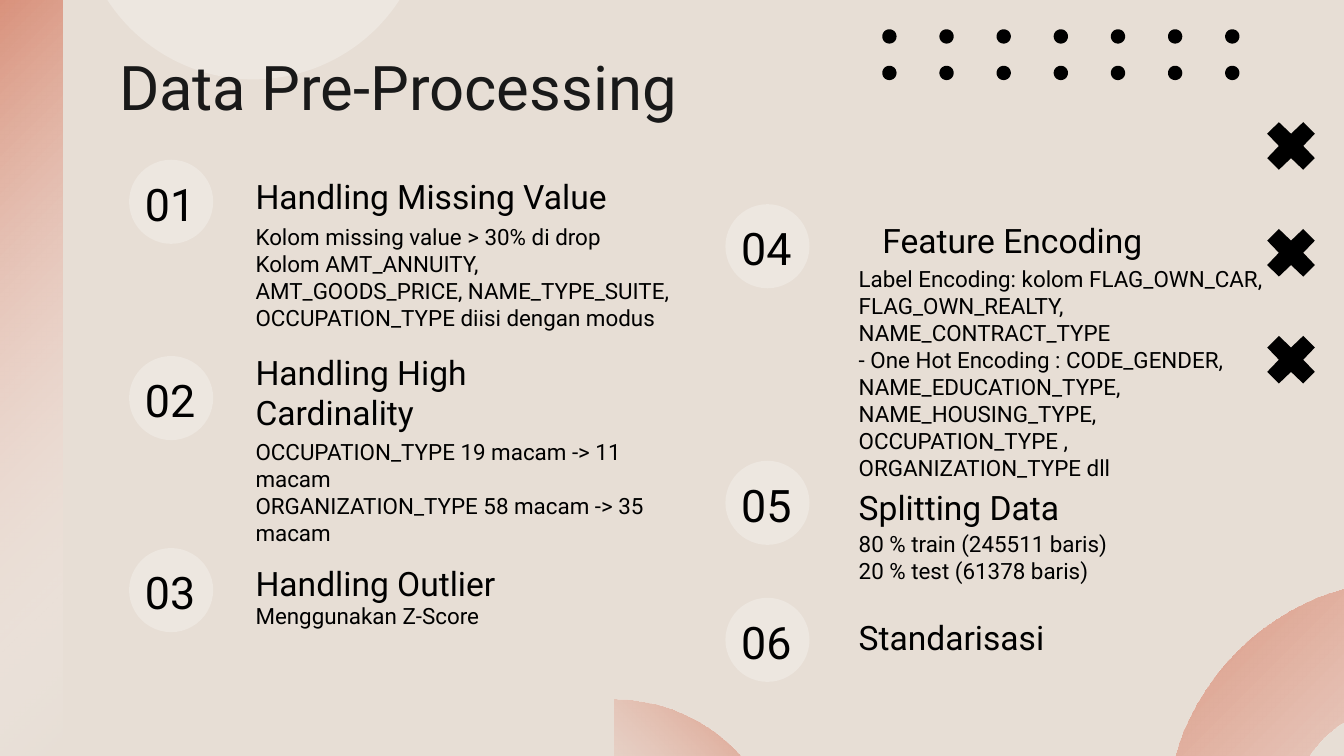
from dataclasses import dataclass
from math import cos, pi, sin

from lxml import etree
from pptx import Presentation
from pptx.dml.color import RGBColor
from pptx.enum.shapes import MSO_SHAPE
from pptx.enum.text import MSO_ANCHOR, PP_ALIGN
from pptx.oxml.ns import qn
from pptx.util import Cm, Pt

OVAL, RECTANGLE = MSO_SHAPE.OVAL, MSO_SHAPE.RECTANGLE
DONUT, BLOCK_ARC = MSO_SHAPE.DONUT, MSO_SHAPE.BLOCK_ARC
TOP, MIDDLE, BOTTOM = MSO_ANCHOR.TOP, MSO_ANCHOR.MIDDLE, MSO_ANCHOR.BOTTOM
LEFT, CENTER, RIGHT = PP_ALIGN.LEFT, PP_ALIGN.CENTER, PP_ALIGN.RIGHT


@dataclass(frozen=True)
class Theme:
    font: str = "Roboto"
    background: RGBColor = RGBColor(0xE7, 0xDE, 0xD5)
    circle: RGBColor = RGBColor(0xF3, 0xEF, 0xEA)
    salmon: RGBColor = RGBColor(0xD9, 0x91, 0x7B)
    white: RGBColor = RGBColor(0xFF, 0xFF, 0xFF)
    black: RGBColor = RGBColor(0, 0, 0)
    title_color: RGBColor = RGBColor(0x19, 0x19, 0x19)
    title_size: int = 33
    number_size: int = 24
    heading_size: int = 18
    body_size: int = 12


theme = Theme()
presentation = Presentation()
presentation.slide_width, presentation.slide_height = Cm(25.4), Cm(14.29)
slide = presentation.slides.add_slide(presentation.slide_layouts[6])
slide.background.fill.solid()
slide.background.fill.fore_color.rgb = theme.background


def add_decoration(kind, left, top, width, height, color=None, opacity=0):
    """Add a shape without outline; no color means salmon fading to clear."""
    shape = slide.shapes.add_shape(kind, Cm(left), Cm(top), Cm(width), Cm(height))
    shape.shadow.inherit = False
    shape.line.fill.background()
    if color is None:
        shape.fill.gradient()
        shape.fill.gradient_angle = 315
        start, end = shape.fill.gradient_stops
        start.color.rgb, end.color.rgb = theme.salmon, theme.white
        start.position, end.position = 0, 1
    else:
        shape.fill.solid()
        shape.fill.fore_color.rgb = color
    last_color = list(shape._element.spPr.iter(qn("a:srgbClr")))[-1]
    etree.SubElement(last_color, qn("a:alpha")).set("val", str(opacity * 1000))
    return shape


def add_text(text, left, top, width, height, size, anchor=TOP, align=LEFT,
             color=theme.black):
    box = slide.shapes.add_textbox(Cm(left), Cm(top), Cm(width), Cm(height))
    text_frame = box.text_frame
    text_frame.word_wrap = True
    text_frame.vertical_anchor = anchor
    text_frame.margin_left = text_frame.margin_right = Cm(0.25)
    text_frame.margin_top = text_frame.margin_bottom = Cm(0.25)
    text_frame.text = text
    for paragraph in text_frame.paragraphs:
        paragraph.alignment = align
        for run in paragraph.runs:
            run.font.name = theme.font
            run.font.size = Pt(size)
            run.font.color.rgb = color


# Background decoration
add_decoration(OVAL, 1.5, -5.08, 6.58, 6.58, theme.circle, 55)
add_decoration(RECTANGLE, 0, -0.08, 1.18, 14.37)
donut = add_decoration(DONUT, 22.02, 10.95, 9.27, 9.27)
donut.adjustments[0] = 0.25
arc = add_decoration(BLOCK_ARC, 8.46, 13.22, 6.32, 6.32)
for index, value in enumerate((107.8, 162.04, 0.21)):
    arc.adjustments[index] = value
arc._element.spPr.find(qn("a:xfrm")).set("flipH", "1")

# Black patterns: one outline repeated around several centres
cross = [(0.23, -0.45), (0, -0.23), (-0.23, -0.45), (-0.45, -0.23),
         (-0.23, 0), (-0.45, 0.23), (-0.23, 0.45), (0, 0.23),
         (0.23, 0.45), (0.45, 0.23), (0.23, 0), (0.45, -0.23)]
dot = [(0.135 * cos(pi * step / 16), 0.135 * sin(pi * step / 16))
       for step in range(32)]
cross_centers = [(24.4, 2.76 + 2.02 * row) for row in range(3)]
dot_centers = [(16.81 + 1.08 * column, 0.69 + 0.69 * row)
               for row in range(2) for column in range(7)]
for outline, centers in ((cross, cross_centers), (dot, dot_centers)):
    builder = slide.shapes.build_freeform()
    for center_x, center_y in centers:
        points = [(Cm(center_x + x), Cm(center_y + y)) for x, y in outline]
        builder.move_to(*points[0])
        builder.add_line_segments(points[1:], close=True)
    # The first contour starts where the pen is first moved to
    builder._start_x, builder._start_y = Cm(centers[0][0]), Cm(centers[0][1])
    pattern = builder.convert_to_shape()
    pattern.shadow.inherit = False
    pattern.fill.solid()
    pattern.fill.fore_color.rgb = theme.black
    pattern.line.fill.background()

add_text("Data Pre-Processing", 2, 0.67, 21.44, 1.7, theme.title_size,
         color=theme.title_color)

# Circle left and text left of the two columns
first_column, second_column = (2.44, 4.58), (13.71, 15.98)

# Column, circle top, heading, its top and width, body, its top and size
steps = [
    (first_column, 3.02, "Handling Missing Value", 2.98, 8.36,
     "Kolom missing value > 30% di drop\n"
     "Kolom AMT_ANNUITY, AMT_GOODS_PRICE, NAME_TYPE_SUITE, "
     "OCCUPATION_TYPE diisi dengan modus", 3.97, 8.36, 2.16),
    (first_column, 6.73, "Handling High Cardinality", 7.07, 7.59,
     "OCCUPATION_TYPE 19 macam -> 11 macam\n"
     "ORGANIZATION_TYPE 58 macam -> 35 macam", 8.04, 8.13, 1.35),
    (first_column, 10.36, "Handling Outlier", 10.31, 7.59,
     "Menggunakan Z-Score", 11.13, 6.32, 1.35),
    (second_column, 3.86, "Feature Encoding", 3.82, 6.32,
     "Label Encoding: kolom FLAG_OWN_CAR, FLAG_OWN_REALTY, "
     "NAME_CONTRACT_TYPE\n"
     "- One Hot Encoding : CODE_GENDER, NAME_EDUCATION_TYPE, "
     "NAME_HOUSING_TYPE, OCCUPATION_TYPE , ORGANIZATION_TYPE dll",
     4.77, 8.36, 2.16),
    (second_column, 8.71, "Splitting Data", 8.86, 7.59,
     "80 % train (245511 baris)\n20 % test (61378 baris)", 9.77, 6.32, 1.35),
    (second_column, 11.3, "Standarisasi", 11.33, 7.59, None, None, None, None),
]
for number, step in enumerate(steps, start=1):
    (circle_left, text_left), circle_top, heading, heading_top, heading_width = step[:5]
    body, body_top, body_width, body_height = step[5:]
    add_decoration(OVAL, circle_left, circle_top, 1.59, 1.59, theme.circle, 55)
    add_text(f"{number:02}", circle_left - 0.28, circle_top + 0.16, 2.11, 1.32,
             theme.number_size, MIDDLE, CENTER)
    if heading == "Feature Encoding":
        add_text(heading, 15.52, heading_top, heading_width, 1.35,
                 theme.heading_size, BOTTOM, RIGHT)
    else:
        add_text(heading, text_left, heading_top, heading_width, 1.35,
                 theme.heading_size, BOTTOM)
    if body:
        add_text(body, text_left, body_top, body_width, body_height, theme.body_size)

presentation.save("out.pptx")
